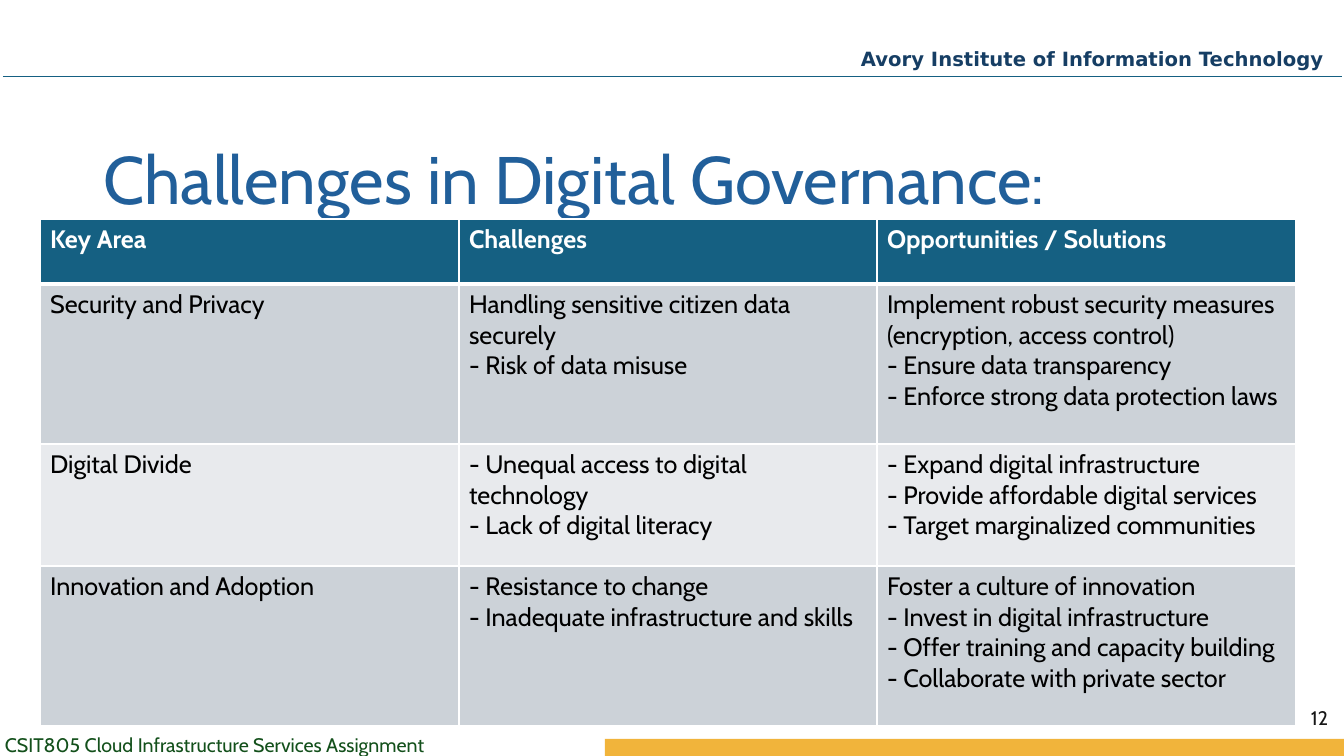
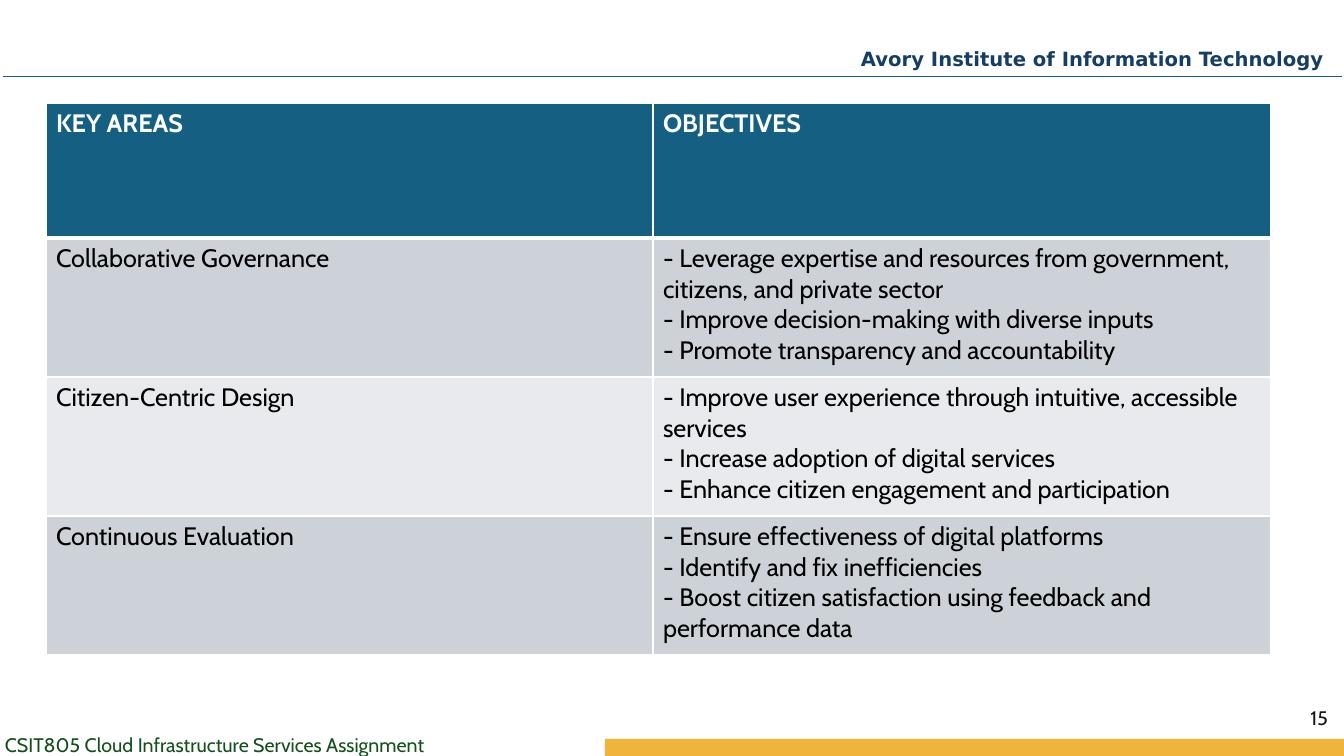
from dataclasses import dataclass

from lxml import etree
from pptx import Presentation
from pptx.dml.color import RGBColor
from pptx.enum.shapes import MSO_CONNECTOR, MSO_SHAPE
from pptx.enum.text import MSO_ANCHOR, MSO_AUTO_SIZE, PP_ALIGN
from pptx.oxml.ns import qn
from pptx.util import Emu, Pt

LEFT, RIGHT = PP_ALIGN.LEFT, PP_ALIGN.RIGHT
TOP, MIDDLE = MSO_ANCHOR.TOP, MSO_ANCHOR.MIDDLE
NO_FIT, GROW = MSO_AUTO_SIZE.NONE, MSO_AUTO_SIZE.SHAPE_TO_FIT_TEXT
RECTANGLE, STRAIGHT = MSO_SHAPE.RECTANGLE, MSO_CONNECTOR.STRAIGHT
TITLE_ONLY, BLANK = 5, 6
PX = 914400 / 100.8


@dataclass(frozen=True)
class Theme:
    teal: str = "156082"
    navy: str = "163E64"
    blue: str = "215F9A"
    green: str = "13501B"
    gold: str = "F1B43B"
    white: str = "FFFFFF"
    black: str = "000000"
    ink: str = "171717"
    bands: tuple = ("CCD2D8", "E8EAED")
    body_font: str = "Cabin"
    header_font: str = "DejaVu Sans"
    title_size: int = 48
    colon_size: int = 44
    table_size: int = 18
    small_size: int = 14


THEME = Theme()


def px(*lengths):
    return [Emu(round(length * PX)) for length in lengths]


def write(para, text, color, size, name=THEME.body_font, bold=False):
    """Add text to a paragraph, one span per line, with line breaks between."""
    for index, line in enumerate(text.split("\n")):
        if index:
            para.add_line_break()
        span = para.add_run()
        span.text = line
        values = {"name": name, "size": Pt(size), "bold": bold}
        for key, value in values.items():
            setattr(span.font, key, value)
        span.font.color.rgb = RGBColor.from_string(color)


PAGES = [
    {
        "number": "12",
        "title": "Challenges in Digital Governance",
        "corner": (40, 219),
        "columns": (419, 418, 419),
        "heights": (65, 160, 122, 160),
        "rows": [
            ("Key Area", "Challenges", "Opportunities / Solutions"),
            ("Security and Privacy",
             "Handling sensitive citizen data securely\n- Risk of data misuse",
             "Implement robust security measures (encryption, access control)\n"
             "- Ensure data transparency\n- Enforce strong data protection laws"),
            ("Digital Divide",
             "- Unequal access to digital technology\n- Lack of digital literacy",
             "- Expand digital infrastructure\n- Provide affordable digital services\n"
             "- Target marginalized communities"),
            ("Innovation and Adoption",
             "- Resistance to change\n- Inadequate infrastructure and skills",
             "Foster a culture of innovation\n- Invest in digital infrastructure\n"
             "- Offer training and capacity building\n- Collaborate with private sector"),
        ],
    },
    {
        "number": "15",
        "title": None,
        "corner": (46, 103),
        "columns": (607, 618),
        "heights": (135, 139, 139, 139),
        "rows": [
            ("KEY AREAS", "OBJECTIVES"),
            ("Collaborative Governance",
             "- Leverage expertise and resources from government, citizens, and private sector\n"
             "- Improve decision-making with diverse inputs\n"
             "- Promote transparency and accountability"),
            ("Citizen-Centric Design",
             "- Improve user experience through intuitive, accessible services\n"
             "- Increase adoption of digital services\n"
             "- Enhance citizen engagement and participation"),
            ("Continuous Evaluation",
             "- Ensure effectiveness of digital platforms\n- Identify and fix inefficiencies\n"
             "- Boost citizen satisfaction using feedback and performance data"),
        ],
    },
]

deck = Presentation()
deck.slide_width, deck.slide_height = px(1344, 756)
pages = [deck.slides.add_slide(deck.slide_layouts[TITLE_ONLY if content["title"] else BLANK])
         for content in PAGES]

# Shared footer, band, header and rule: drawn on a page, then moved to the master
shapes = pages[0].shapes
footer = shapes.add_textbox(*px(-5, 728, 447, 34))
write(footer.text_frame.paragraphs[0], "CSIT805 Cloud Infrastructure Services Assignment",
      THEME.green, THEME.small_size)

band = shapes.add_shape(RECTANGLE, *px(605, 739, 739, 17))
band.shadow.inherit = False
band.fill.solid()
band.fill.fore_color.rgb = RGBColor.from_string(THEME.gold)
band.line.fill.background()

header = shapes.add_textbox(*px(851, 42, 493, 34))
write(header.text_frame.paragraphs[0], "Avory Institute of Information Technology",
      THEME.navy, THEME.small_size, THEME.header_font, True)
for box in (footer, header):
    box.text_frame.word_wrap = False
    box.text_frame.auto_size = GROW

rule = shapes.add_connector(STRAIGHT, *px(3, 76, 1342, 76))
rule.line.color.rgb = RGBColor.from_string(THEME.teal)
rule.line.width = Pt(0.5)
etree.SubElement(rule.element.spPr, qn("a:effectLst"))

for shape_id, shape in enumerate((footer, band, header, rule), start=101):
    shape.element.xpath(".//p:cNvPr")[0].set("id", str(shape_id))
    deck.slide_master.shapes.element.append(shape.element)

for page, content in zip(pages, PAGES):
    if content["title"]:
        title = page.shapes.title
        title.left, title.top, title.width, title.height = px(93, 114, 1159, 138)
        frame = title.text_frame
        frame.auto_size, frame.vertical_anchor = NO_FIT, MIDDLE
        para = frame.paragraphs[0]
        para.alignment, para.line_spacing = LEFT, 0.9
        write(para, content["title"], THEME.blue, THEME.title_size)
        write(para, ":", THEME.blue, THEME.colon_size)

    columns, heights, rows = content["columns"], content["heights"], content["rows"]
    table = page.shapes.add_table(
        len(rows), len(columns),
        *px(*content["corner"], sum(columns), sum(heights))).table
    for column, width in zip(table.columns, px(*columns)):
        column.width = width
    for row, height in zip(table.rows, px(*heights)):
        row.height = height

    for row_index, texts in enumerate(rows):
        is_head = row_index == 0
        fill = THEME.teal if is_head else THEME.bands[(row_index - 1) % 2]
        borders = {"lnL": 1, "lnR": 1, "lnT": 3 if row_index == 1 else 1,
                   "lnB": 3 if is_head else 1}
        for column_index, text in enumerate(texts):
            cell = table.cell(row_index, column_index)
            cell.vertical_anchor = TOP
            properties = cell._tc.get_or_add_tcPr()
            for tag, width in borders.items():
                border = etree.SubElement(properties, qn(f"a:{tag}"), w=str(Pt(width)))
                solid = etree.SubElement(border, qn("a:solidFill"))
                etree.SubElement(solid, qn("a:srgbClr"), val=THEME.white)
            cell.fill.solid()
            cell.fill.fore_color.rgb = RGBColor.from_string(fill)
            write(cell.text_frame.paragraphs[0], text,
                  THEME.white if is_head else THEME.black, THEME.table_size, bold=is_head)

    number = page.shapes.add_textbox(*px(1036, 698, 302, 40))
    number.text_frame.word_wrap = True
    number.text_frame.vertical_anchor = MIDDLE
    para = number.text_frame.paragraphs[0]
    para.alignment = RIGHT
    write(para, content["number"], THEME.ink, THEME.small_size)

deck.save("out.pptx")
